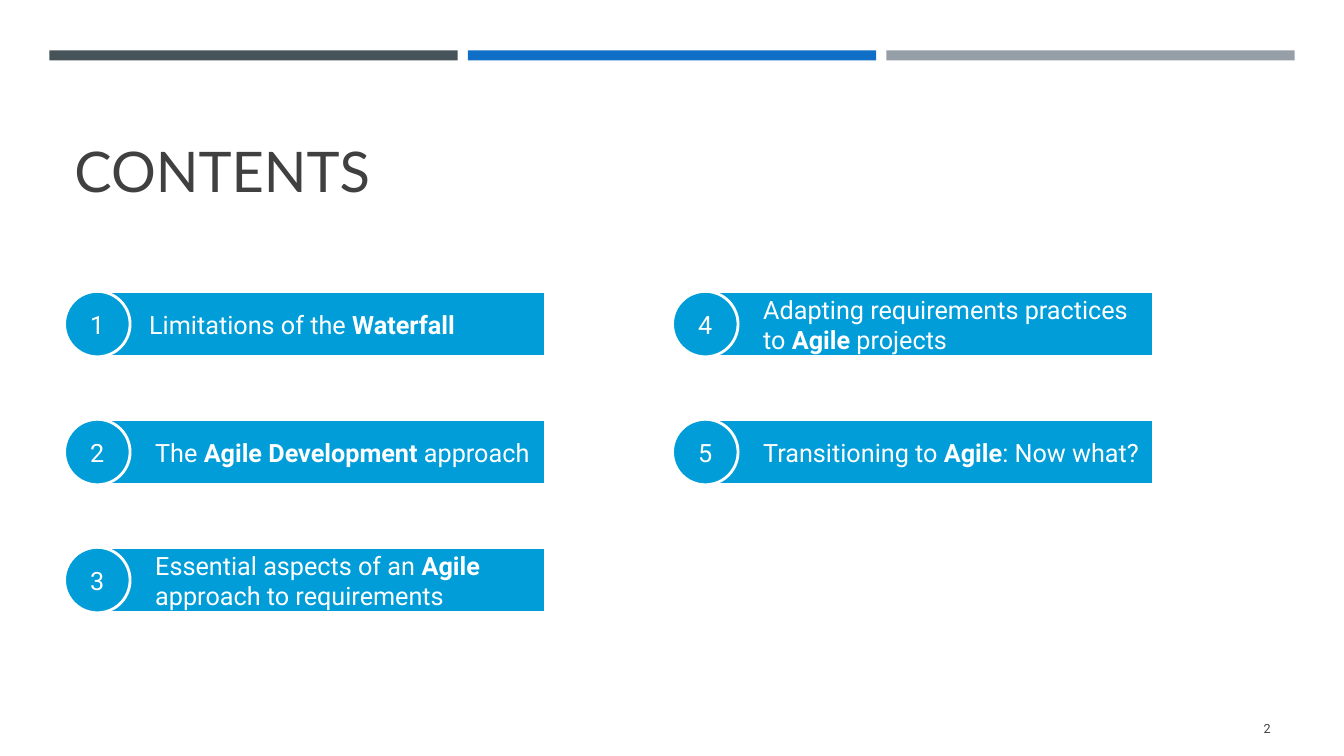
from pptx import Presentation
from pptx.dml.color import RGBColor
from pptx.enum.shapes import MSO_SHAPE as SHAPE
from pptx.enum.text import MSO_ANCHOR as ANCHOR, PP_ALIGN as ALIGN
from pptx.util import Inches, Pt

WHITE, BLUE, DARK = "FFFFFF", "009DD9", "404040"
BAR_COLOURS = ["465359", "0F6FC6", "969FA7"]

# Contents entries: text inset, then (text, bold) runs
ENTRIES = [
    (0.54, [("Limitations of the ", False), ("Waterfall", True)]),
    (0.6, [("The ", False), ("Agile Development ", True), ("approach", False)]),
    (0.6, [("Essential aspects of an ", False), ("Agile", True),
           (" approach to requirements", False)]),
    (0.6, [("Adapting requirements practices to ", False), ("Agile", True),
           (" projects", False)]),
    (0.6, [("Transitioning to ", False), ("Agile", True), (": Now what?", False)]),
]
ROWS = 3


def rgb(colour):
    return RGBColor.from_string(colour)


def add_box(s, kind, x, y, w, h, fill, line=None):
    sp = s.shapes.add_shape(kind, Inches(x), Inches(y), Inches(w), Inches(h))
    sp.shadow.inherit = False
    sp.fill.solid()
    sp.fill.fore_color.rgb = rgb(fill)
    if line:
        sp.line.color.rgb = rgb(line)
        sp.line.width = Pt(2)
    else:
        sp.line.fill.background()
    return sp


def write(sp, runs, size, colour, font="Roboto", align=ALIGN.LEFT, anchor=ANCHOR.MIDDLE):
    tf = sp.text_frame
    tf.word_wrap = True
    tf.vertical_anchor = anchor
    p = tf.paragraphs[0]
    p.alignment = align
    p.font.name, p.font.size = font, Pt(size)
    p.font.color.rgb = rgb(colour)
    for text, bold in runs:
        r = p.add_run()
        r.text = text
        if bold:
            r.font.bold = True


def add_label(s, x, y, w, h, text, size, **style):
    sp = s.shapes.add_textbox(Inches(x), Inches(y), Inches(w), Inches(h))
    write(sp, [(text, False)], size, DARK, **style)


def add_bars(s, x, y, w, h, gap=0.1):
    bar_w = (w - gap * (len(BAR_COLOURS) - 1)) / len(BAR_COLOURS)
    for i, colour in enumerate(BAR_COLOURS):
        add_box(s, SHAPE.RECTANGLE, x + i * (bar_w + gap), y, bar_w, h, colour)


def add_entry(s, x, y, w, h, number, inset, runs):
    # The banner starts near the middle of the number circle
    left = 0.3
    banner = add_box(s, SHAPE.RECTANGLE, x + left, y, w - left, h, BLUE, WHITE)
    banner.text_frame.margin_left = Inches(inset)
    write(banner, runs, 18, WHITE)
    circle = add_box(s, SHAPE.OVAL, x, y, h, h, BLUE, WHITE)
    write(circle, [(str(number), False)], 18, WHITE, align=ALIGN.CENTER)


def add_contents(s, x, y, col_step, row_step):
    for i, (inset, runs) in enumerate(ENTRIES):
        col, row = divmod(i, ROWS)
        add_entry(s, x + col * col_step, y + row * row_step, 4.77, 0.65,
                  i + 1, inset, runs)


def main():
    prs = Presentation()
    prs.slide_width, prs.slide_height = Inches(13.33), Inches(7.5)
    s = prs.slides.add_slide(prs.slide_layouts[6])

    # Header
    add_bars(s, 0.49, 0.5, 12.35, 0.1)
    add_label(s, 0.64, 0.77, 12.06, 1.3, "CONTENTS", 40, font="Lato", anchor=ANCHOR.BOTTOM)
    # Numbered entries
    add_contents(s, 0.64, 2.89, 6.03, 1.27)
    # Page number
    add_label(s, 11.55, 7.03, 1.15, 0.4, "2", 9, align=ALIGN.RIGHT)

    prs.save("out.pptx")


if __name__ == "__main__":
    main()
